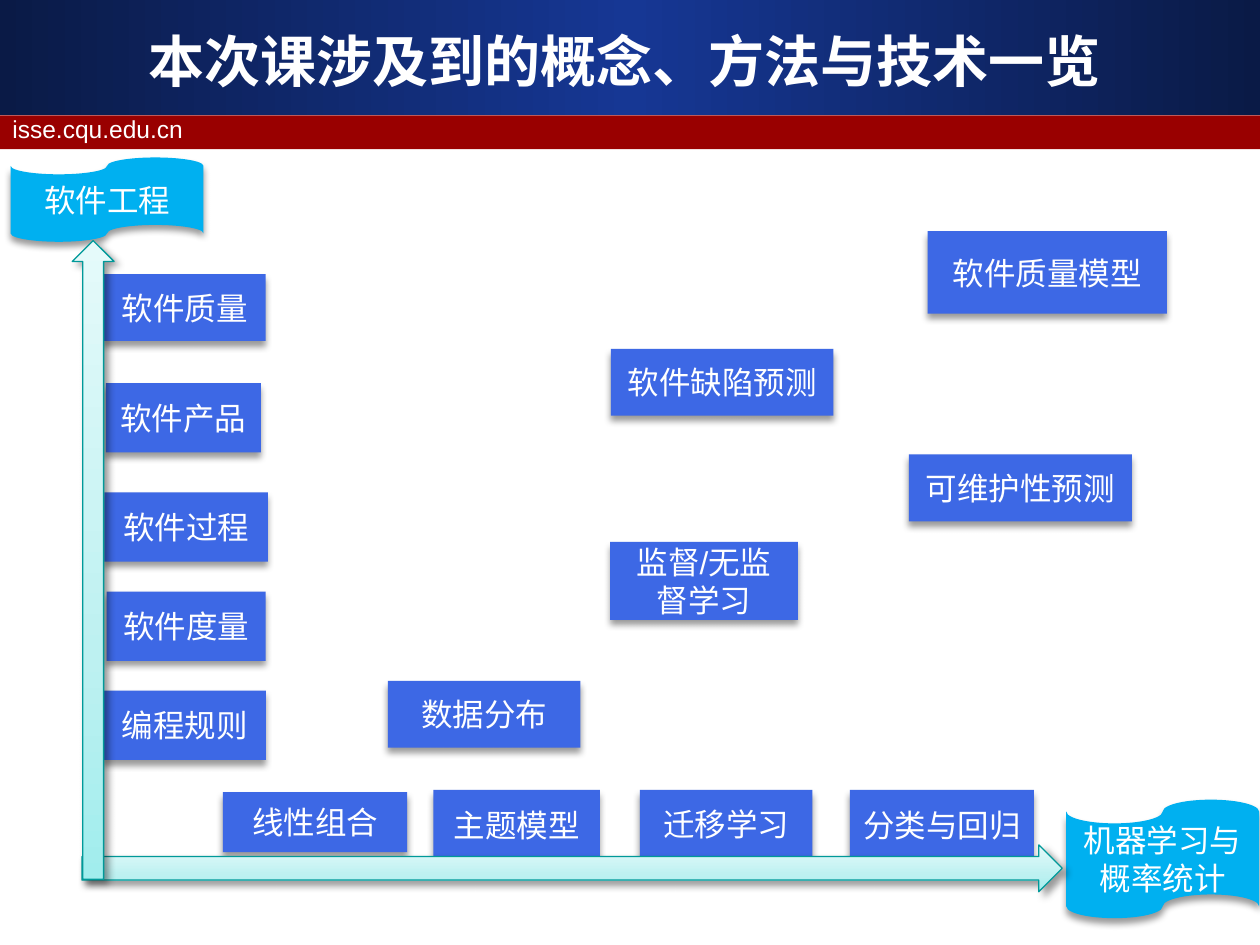
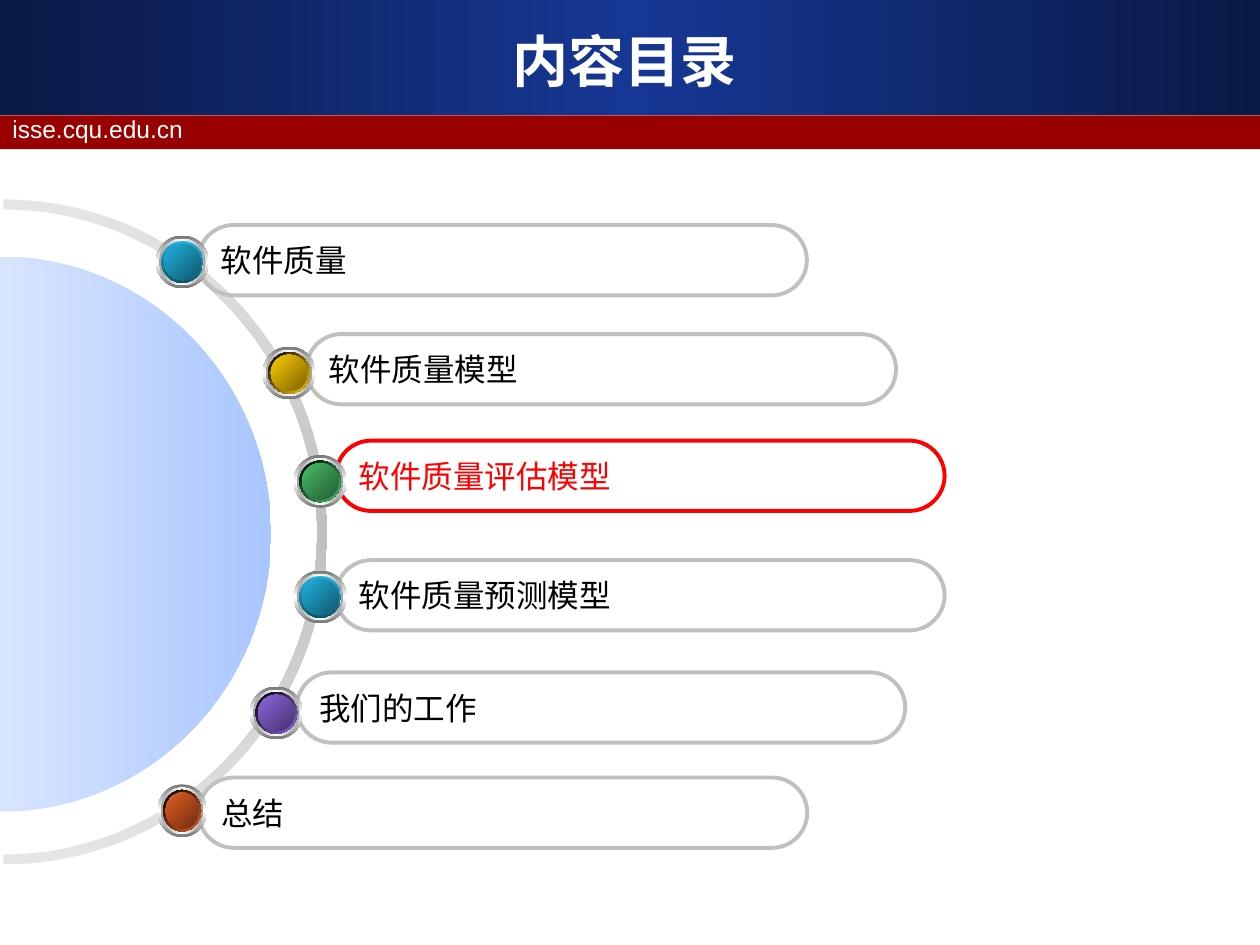
from dataclasses import dataclass
from typing import Any, NamedTuple

from lxml import etree
from pptx import Presentation
from pptx.dml.color import RGBColor
from pptx.enum import shapes, text
from pptx.oxml.ns import qn
from pptx.util import Pt

KIND = shapes.MSO_SHAPE
ALIGN = text.PP_ALIGN
MID = text.MSO_ANCHOR.MIDDLE


class Grad(NamedTuple):
    """Stops as (percent, colour); angle in degrees, clockwise."""
    stops: tuple[tuple[int, str], ...]
    angle: int = 0


def sweep(*hues: str, angle: int = 0) -> Grad:
    """Gradient with evenly spaced stops."""
    last = len(hues) - 1
    return Grad(tuple((100 * i // last, hue) for i, hue in enumerate(hues)), angle)


@dataclass(frozen=True)
class Theme:
    band: Grad = sweep("0A1A46", "163794", "0A1A46")
    strip: str = "990000"
    white: str = "FFFFFF"
    black: str = "000000"
    box: str = "3D68E5"
    tape: str = "00B0F0"
    axis: Grad = Grad(((0, "A1EDED"), (35, "BDF1F1"), (100, "E5FAFA")), 270)
    edge: str = "009999"
    grey: str = "C0C0C0"
    mark: str = "FF0000"
    ring: Grad = sweep("E5E5E5", "C0C0C0", "E5E5E5", angle=90)
    disc: Grad = sweep("D8E5FF", "A9C6FF")
    rim: Grad = sweep("767676", "FFFFFF", "767676", angle=90)
    bevel: Grad = sweep("A2A2A2", "FFFFFF", "A2A2A2")
    glow: Grad = sweep("FFFFFF", "6699FF", "FFFFFF", angle=45)
    core: Grad = sweep("4E75C3", "6699FF", "4E75C3", angle=315)
    face: str = "Arial"
    head: str = "DejaVu Sans"
    list: str = "Noto Sans CJK SC"
    big: int = 32
    body: int = 18
    small: int = 14


THEME = Theme()


class Area(NamedTuple):
    left: float
    top: float
    width: float
    height: float

    def inset(self, gap: float) -> "Area":
        return Area(self.left + gap, self.top + gap,
                    self.width - 2 * gap, self.height - 2 * gap)


class Label(NamedTuple):
    words: str
    area: Area


class Item(NamedTuple):
    words: str
    pill: Area
    ball: Area
    back: Grad
    front: Grad
    hue: str = THEME.black
    edge: str = THEME.grey


def apply(target: Any, form: dict[str, Any]) -> None:
    for name, value in form.items():
        setattr(target, name, value)


def paint(shape: Any, fill: str | Grad | None) -> None:
    if fill is None:
        shape.fill.background()
    elif isinstance(fill, str):
        shape.fill.solid()
        shape.fill.fore_color.rgb = RGBColor.from_string(fill)
    else:
        shape.fill.gradient()
        grad = shape._element.spPr.find(qn("a:gradFill"))
        grad.clear()
        grad.set("rotWithShape", "1")
        stops = etree.SubElement(grad, qn("a:gsLst"))
        for place, hue in fill.stops:
            stop = etree.SubElement(stops, qn("a:gs"), pos=str(place * 1000))
            etree.SubElement(stop, qn("a:srgbClr"), val=hue)
        etree.SubElement(grad, qn("a:lin"), ang=str(fill.angle * 60000), scaled="0")


def style(shape: Any, fill: str | Grad | None, edge: str | None = None,
          width: float = 0.75) -> None:
    shape.shadow.inherit = False
    paint(shape, fill)
    if edge is None:
        shape.line.fill.background()
    else:
        shape.line.color.rgb = RGBColor.from_string(edge)
        shape.line.width = Pt(width)


def shade(shape: Any, angle: int = 90) -> None:
    """Cast a soft shadow in the given direction."""
    effect = shape._element.spPr.find(qn("a:effectLst"))
    cast = etree.SubElement(effect, qn("a:outerShdw"), blurRad=str(Pt(4)),
                            dist=str(Pt(3)), dir=str(angle * 60000), rotWithShape="0")
    hue = etree.SubElement(cast, qn("a:srgbClr"), val=THEME.black)
    etree.SubElement(hue, qn("a:alpha"), val="40000")


def write(shape: Any, words: str, size: int, face: str, hue: str,
          align: Any = ALIGN.CENTER, bold: bool = False,
          wrap: bool = True, anchor: Any = MID) -> None:
    frame = shape.text_frame
    apply(frame, {"word_wrap": wrap, "vertical_anchor": anchor})
    para = frame.paragraphs[0]
    para.alignment = align
    run = para.add_run()
    run.text = words
    apply(run.font, {"size": Pt(size), "name": face, "bold": bold})
    run.font.color.rgb = RGBColor.from_string(hue)
    etree.SubElement(run.font._element, qn("a:ea"), typeface=face)


def put(tree: Any, kind: Any, area: Area, fill: str | Grad | None,
        edge: str | None = None, width: float = 0.75) -> Any:
    shape = tree.add_shape(kind, *map(Pt, area))
    style(shape, fill, edge, width)
    return shape


def start(deck: Any, title: str) -> Any:
    """Add a slide with the shared header and return its shapes."""
    tree = deck.slides.add_slide(deck.slide_layouts[6]).shapes
    put(tree, KIND.RECTANGLE, Area(0, 0, 720, 65.5), THEME.band)
    put(tree, KIND.RECTANGLE, Area(0, 66, 720, 19.2), THEME.strip)
    site = tree.add_textbox(*map(Pt, (0, 61.6, 692, 24.5)))
    write(site, "isse.cqu.edu.cn", THEME.small, THEME.face, THEME.white,
          ALIGN.LEFT, anchor=text.MSO_ANCHOR.TOP)
    head = tree.add_textbox(*map(Pt, (24.1, 12.2, 666, 44.6)))
    write(head, title, THEME.big, THEME.head, THEME.white, bold=True)
    return tree


TAPES = (
    Label("软件工程", Area(6.1, 90, 110.2, 48.2)),
    Label("机器学习与概率统计", Area(609.3, 457, 110.2, 67.7)),
)
BOXES = (
    Label("软件过程", Area(59.7, 281.3, 93.4, 39.6)),
    Label("软件产品", Area(60.5, 218.9, 88.6, 39.6)),
    Label("软件质量", Area(59, 156.7, 92.9, 38.2)),
    Label("线性组合", Area(127.4, 452.6, 105.3, 34.4)),
    Label("监督/无监督学习", Area(348.6, 309.6, 107.3, 44.6)),
    Label("软件质量模型", Area(530.1, 132.1, 136.8, 47.2)),
    Label("主题模型", Area(247.7, 451.4, 95.2, 39.6)),
    Label("软件缺陷预测", Area(349.1, 199.4, 127.2, 38.2)),
    Label("可维护性预测", Area(519.4, 259.7, 127.4, 38.2)),
    Label("迁移学习", Area(365.7, 451.4, 98.5, 38.4)),
    Label("软件度量", Area(60.9, 338, 90.9, 39.6)),
    Label("编程规则", Area(59, 394.7, 93, 39.6)),
    Label("数据分布", Area(221.6, 389.1, 110, 38.2)),
    Label("分类与回归", Area(485.6, 451.4, 105.2, 39.6)),
)
AXES = (
    (KIND.RIGHT_ARROW, Area(46.8, 482.8, 560.2, 26.8)),
    (KIND.UP_ARROW, Area(41.3, 137.5, 23.9, 365)),
)


def overview(deck: Any) -> None:
    tree = start(deck, "本次课涉及到的概念、方法与技术一览")
    for kind, fill, labels in ((KIND.FLOWCHART_PUNCHED_TAPE, THEME.tape, TAPES),
                               (KIND.RECTANGLE, THEME.box, BOXES)):
        for label in labels:
            shape = put(tree, kind, label.area, fill)
            shade(shape)
            write(shape, label.words, THEME.body, THEME.face, THEME.white)
    for kind, area in AXES:
        shade(put(tree, kind, area, THEME.axis, THEME.edge), 45)


def item(words: str, pill: tuple[float, float], ball: tuple[float, float],
         hues: tuple[str, str], back: Grad | None = None, long: float = 347.8,
         wide: float = 30.2, **look: str) -> Item:
    return Item(words, Area(*pill, long, 40.2), Area(*ball, wide, 30.2),
                back or sweep(THEME.black, hues[0], angle=45),
                sweep(*hues, angle=45), **look)


BLUE = ("21B3E1", "10576D")
DEEP = sweep("21B3E1", "0F5368", angle=90)
ITEMS = (
    item("软件质量", (113.3, 128.6), (89.1, 134.6), BLUE, DEEP),
    item("软件质量模型", (175, 190.9), (150.1, 198), ("FFCC00", "7C6300"), long=337),
    item("软件质量评估模型", (192, 251.8), (167.9, 260), ("48BE67", "235C32"),
         hue=THEME.mark, edge=THEME.mark),
    item("软件质量预测模型", (192, 320.1), (167.9, 326), BLUE, DEEP),
    item("我们的工作", (169.5, 384.2), (142.8, 392.3), ("8D67E1", "45326D")),
    item("总结", (113.5, 444.3), (90, 448.2), ("E35E23", "6E2E11"), wide=28.1),
)


Dots = list[tuple[float, float]]


def arc(left: float, mid: float, wide: float, tall: float) -> Dots:
    """Curve points of a right half ellipse, top to bottom."""
    pull = 0.5523
    rule = ((0, -1), (pull, -1), (1, -pull), (1, 0), (1, pull), (pull, 1), (0, 1))
    return [(left + wide * x, mid + tall * y) for x, y in rule]


def outline(tree: Any, arcs: list[Dots], fill: Grad) -> None:
    """Draw arcs joined by straight lines, each arc as two cubic curves."""
    first, *rest = [(Pt(x), Pt(y)) for dots in arcs for x, y in dots]
    pen = tree.build_freeform(*first)
    pen.add_line_segments(rest, close=True)
    shape = pen.convert_to_shape()
    lines = list(shape._element.iter(qn("a:lnTo")))
    for turn in range(len(arcs)):
        for half in range(2):
            begin = 7 * turn + 3 * half
            trio = lines[begin:begin + 3]
            curve = etree.Element(qn("a:cubicBezTo"))
            trio[0].addprevious(curve)
            for line in trio:
                curve.append(line[0])
                line.getparent().remove(line)
    style(shape, fill)


def bead(tree: Any, entry: Item) -> None:
    group = tree.add_group_shape().shapes
    layers = ((0, THEME.rim), (1.8, THEME.bevel), (3.2, THEME.glow),
              (3.2, entry.back), (4.7, THEME.core), (4.7, entry.front))
    for gap, fill in layers:
        put(group, KIND.OVAL, entry.ball.inset(gap), fill)


def contents(deck: Any) -> None:
    tree = start(deck, "内容目录")
    outer, inner = arc(2, 304, 185, 190), arc(2, 304, 179.3, 184.3)
    outline(tree, [outer, inner[::-1]], THEME.ring)
    outline(tree, [arc(0, 305.2, 154.8, 158.6)], THEME.disc)
    for entry in ITEMS:
        pill = put(tree, KIND.ROUNDED_RECTANGLE, entry.pill, None, entry.edge, 2.25)
        pill.adjustments[0] = 0.5
        write(pill, entry.words, THEME.body, THEME.list, entry.hue,
              ALIGN.LEFT, wrap=False)
    for entry in ITEMS:
        bead(tree, entry)


def main() -> None:
    deck = Presentation()
    apply(deck, {"slide_width": Pt(720), "slide_height": Pt(540)})
    overview(deck)
    contents(deck)
    deck.save("out.pptx")


if __name__ == "__main__":
    main()
